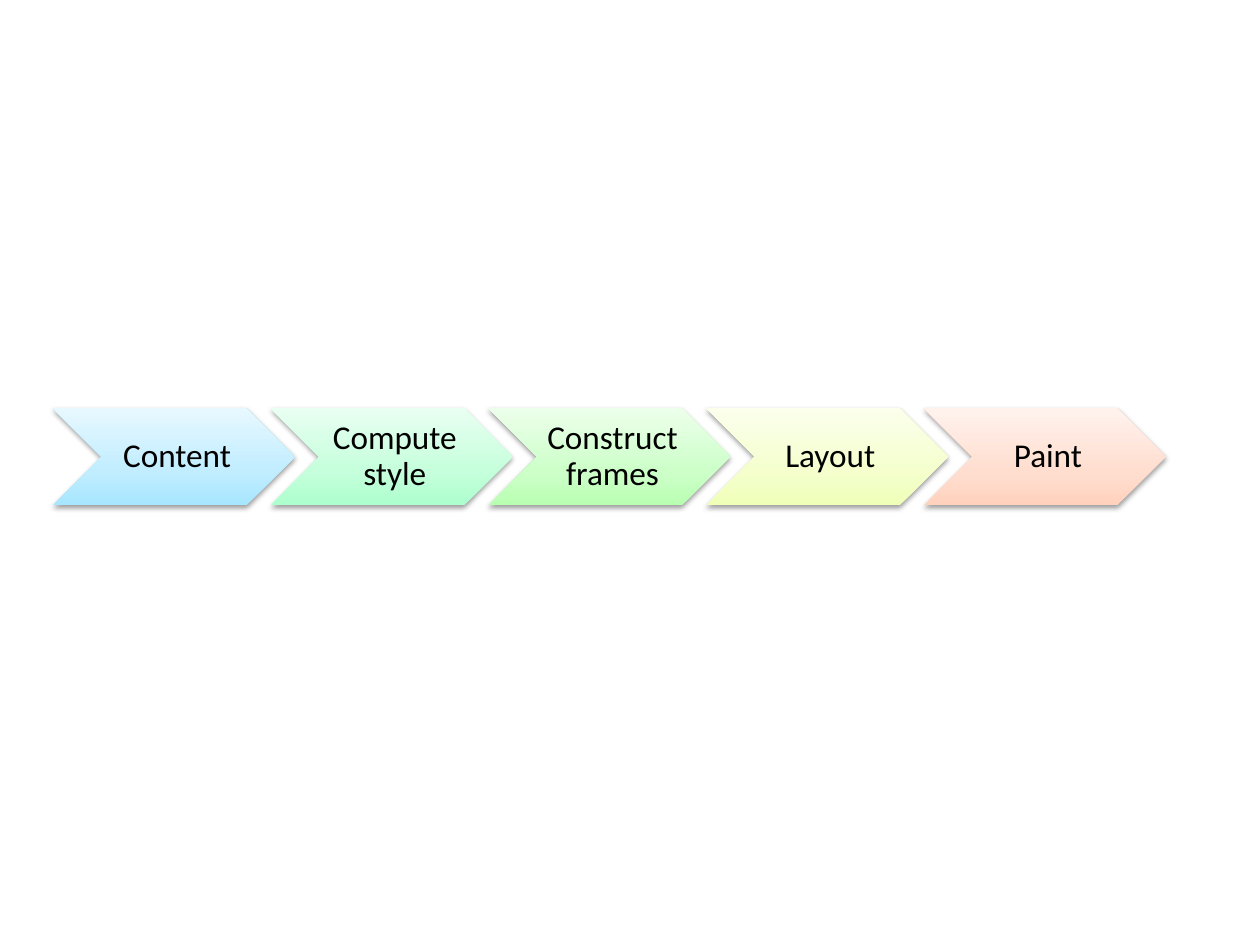
from pptx import Presentation
from pptx.dml.color import RGBColor
from pptx.enum.shapes import MSO_SHAPE
from pptx.enum.text import MSO_ANCHOR, PP_ALIGN
from pptx.oxml import parse_xml
from pptx.oxml.ns import nsdecls
from pptx.util import Inches, Pt

CHEVRON = MSO_SHAPE.CHEVRON
MIDDLE = MSO_ANCHOR.MIDDLE
CENTER = PP_ALIGN.CENTER
BLACK = RGBColor(0x00, 0x00, 0x00)

# Step name, then gradient colours from bottom to top
STEPS = [
    ("Content", ("A7E6FF", "C1EDFF", "E7F8FF")),
    ("Compute style", ("ADFFCD", "C5FFDB", "E9FFF1")),
    ("Construct frames", ("B9FFB2", "CDFFC9", "ECFFEA")),
    ("Layout", ("F0FFB8", "F4FFCD", "FBFFEC")),
    ("Paint", ("FFD2BD", "FFDED0", "FFF2ED")),
]
STOPS = (0, 35, 100)  # percent

LEFT, TOP, WIDTH, HEIGHT = 0.42, 3.24, 1.92, 0.77
PITCH = 0.9 * WIDTH  # neighbours overlap by a tenth

FRAME_FORMAT = {
    "word_wrap": True,
    "vertical_anchor": MIDDLE,
    "margin_left": Inches(0.08),
    "margin_top": Inches(0.03),
    "margin_right": Inches(0.03),
    "margin_bottom": Inches(0.03),
}
FONT_FORMAT = {"name": "Calibri", "size": Pt(19)}


def set_format(target, values):
    for attribute, value in values.items():
        setattr(target, attribute, value)


def fill_gradient(chevron, colours):
    chevron.fill.gradient()
    chevron.fill.gradient_angle = 90
    stop_list = chevron.fill._fill._gradFill.gsLst
    for stop in list(stop_list):
        stop_list.remove(stop)
    for percent, colour in zip(STOPS, colours):
        stop_list.append(parse_xml(
            f'<a:gs {nsdecls("a")} pos="{percent * 1000}">'
            f'<a:srgbClr val="{colour}"/></a:gs>'))


def add_soft_shadow(chevron):
    chevron.shadow.inherit = False
    effects = chevron._element.spPr.find(
        "{http://schemas.openxmlformats.org/drawingml/2006/main}effectLst")
    effects.append(parse_xml(
        f'<a:outerShdw {nsdecls("a")} blurRad="{Pt(3.1)}" dist="{Pt(1.6)}" '
        'dir="5400000" rotWithShape="0"><a:srgbClr val="000000">'
        '<a:alpha val="38000"/></a:srgbClr></a:outerShdw>'))


def add_step(slide, index, label, colours):
    chevron = slide.shapes.add_shape(
        CHEVRON, Inches(LEFT + index * PITCH), Inches(TOP),
        Inches(WIDTH), Inches(HEIGHT))
    fill_gradient(chevron, colours)
    chevron.line.fill.background()
    add_soft_shadow(chevron)

    frame = chevron.text_frame
    set_format(frame, FRAME_FORMAT)
    paragraph = frame.paragraphs[0]
    set_format(paragraph, {"alignment": CENTER, "line_spacing": 0.9})
    run = paragraph.add_run()
    run.text = label
    set_format(run.font, FONT_FORMAT)
    run.font.color.rgb = BLACK


def main():
    prs = Presentation()
    prs.slide_width, prs.slide_height = Inches(10), Inches(7.5)
    slide = prs.slides.add_slide(prs.slide_layouts[6])
    for index, (label, colours) in enumerate(STEPS):
        add_step(slide, index, label, colours)
    prs.save("out.pptx")


if __name__ == "__main__":
    main()
